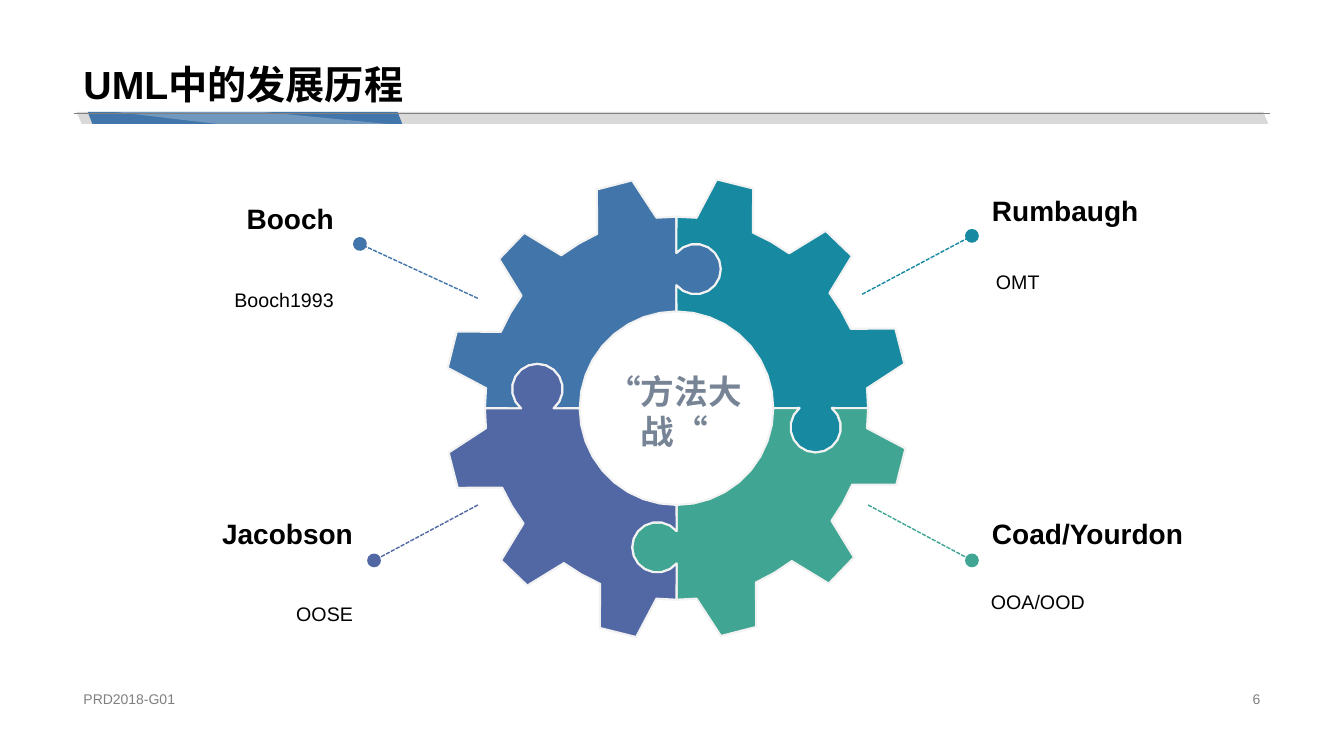
from math import cos, radians, sin

from lxml import etree
from pptx import Presentation
from pptx.dml.color import RGBColor
from pptx.enum.dml import MSO_LINE
from pptx.enum.shapes import MSO_CONNECTOR, MSO_SHAPE
from pptx.enum.text import MSO_ANCHOR as Anchor, MSO_AUTO_SIZE as AutoSize, PP_ALIGN as Align
from pptx.oxml.ns import qn
from pptx.util import Inches, Pt

BLACK = RGBColor(0x00, 0x00, 0x00)
WHITE = RGBColor(0xFF, 0xFF, 0xFF)
GREY = RGBColor(0x80, 0x80, 0x80)
BAND = RGBColor(0xD9, 0xD9, 0xD9)
OUTLINE = RGBColor(0xF2, 0xF2, 0xF2)
SLATE = RGBColor(0x77, 0x84, 0x95)
BLUE = RGBColor(0x42, 0x76, 0xAA)
TEAL = RGBColor(0x17, 0x8A, 0xA1)
GREEN = RGBColor(0x40, 0xA6, 0x93)
INDIGO = RGBColor(0x52, 0x68, 0xA5)

GEAR_CENTER = (6.71, 4.05)
RIM_RADIUS = 1.9
HOLE_RADIUS = 0.96
LABEL_WIDTH = 2.87

METHODS = [
    ("Booch", "Booch1993", BLUE, Align.RIGHT, (4.74, 2.96), (3.57, 2.42), (0.54, 1.99), (0.54, 2.52)),
    ("Rumbaugh", "OMT", TEAL, Align.LEFT, (8.55, 2.92), (9.64, 2.34), (9.74, 1.91), (9.78, 2.34)),
    ("Coad/Yourdon", "OOA/OOD", GREEN, Align.LEFT, (8.61, 5.01), (9.64, 5.56), (9.74, 5.12), (9.73, 5.52)),
    ("Jacobson", "OOSE", INDIGO, Align.RIGHT, (4.74, 5.01), (3.71, 5.56), (0.73, 5.12), (0.73, 5.63)),
]


def add_text(slide, text, left, top, width, height, size, color=BLACK, bold=False,
             align=Align.LEFT, anchor=Anchor.MIDDLE, wrap=True, spacing=1.0):
    """Add a one-paragraph text box that grows with its text when it does not wrap."""
    box = slide.shapes.add_textbox(Inches(left), Inches(top), Inches(width), Inches(height))
    frame = box.text_frame
    frame.word_wrap = wrap
    frame.auto_size = AutoSize.NONE if wrap else AutoSize.SHAPE_TO_FIT_TEXT
    frame.vertical_anchor = anchor
    paragraph = frame.paragraphs[0]
    paragraph.text = text
    paragraph.alignment = align
    paragraph.line_spacing = spacing
    font = paragraph.font
    font.name, font.size, font.bold = "Arial", Pt(size), bold
    font.color.rgb = color


def add_band(slide, left, width, slant, color):
    """Add a thin parallelogram that leans to the left."""
    band = slide.shapes.add_shape(MSO_SHAPE.PARALLELOGRAM, Inches(left), Inches(1.11),
                                  Inches(width), Inches(0.12))
    band.adjustments[0] = slant
    band.shadow.inherit = False
    band.fill.solid()
    band.fill.fore_color.rgb = color
    band.line.fill.background()
    band._element.spPr.find(qn("a:xfrm")).set("flipH", "1")


def add_polygon(slide, points, color):
    """Add a filled closed outline through points given in inches."""
    corners = [(Inches(x), Inches(y)) for x, y in points]
    builder = slide.shapes.build_freeform(*corners[0])
    builder.add_line_segments(corners[1:], close=True)
    polygon = builder.convert_to_shape()
    polygon.shadow.inherit = False
    polygon.fill.solid()
    polygon.fill.fore_color.rgb = color
    polygon.line.fill.background()
    return polygon


def add_line(slide, start, end, color, width):
    """Add a straight line without a shadow."""
    line = slide.shapes.add_connector(MSO_CONNECTOR.STRAIGHT, *map(Inches, start + end))
    line.line.color.rgb = color
    line.line.width = Pt(width)
    etree.SubElement(line._element.spPr, qn("a:effectLst"))
    return line


def add_leader(slide, start, end, color):
    """Add a dashed line that ends in a large dot."""
    leader = add_line(slide, start, end, color, 1)
    leader.line.dash_style = MSO_LINE.SQUARE_DOT
    etree.SubElement(leader.line._get_or_add_ln(), qn("a:tailEnd"), type="oval", w="lg", len="lg")


def arc(center, radius, start, end, steps):
    """Return points along an arc, with angles in degrees clockwise from the right."""
    angles = [radians(start + (end - start) * step / steps) for step in range(steps + 1)]
    return [(center[0] + radius * cos(angle), center[1] + radius * sin(angle)) for angle in angles]


def rim(start, end, steps=1):
    """Return points along the foot circle of the teeth."""
    return arc((0, 0), RIM_RADIUS, start, end, steps)


def quarter_outline():
    """Return the upper right gear quarter around the gear center."""
    knob = arc((1.38, 0.19), 0.25, -50, 230, 14)
    socket = [(y, -x) for x, y in reversed(knob)]
    return (rim(-90, -84) + [(0.4, -2.27), (0.76, -2.18)]
            + rim(-66.5, -54, 2) + [(1.48, -1.76), (1.74, -1.51)]
            + rim(-37, -24.5, 2) + [(2.17, -0.79), (2.26, -0.44)]
            + rim(-6, 0) + knob + arc((0, 0), HOLE_RADIUS, 0, -90, 9) + socket)


def add_gear(slide):
    """Add four interlocking quarters, each turned by a right angle."""
    center_x, center_y = GEAR_CENTER
    outline = [(y, -x) for x, y in quarter_outline()]
    for method in METHODS:
        points = [(center_x + x, center_y + y) for x, y in outline]
        quarter = add_polygon(slide, points, method[2])
        quarter.line.color.rgb = OUTLINE
        quarter.line.width = Pt(1.5)
        outline = [(-y, x) for x, y in outline]


def add_header(slide):
    """Add the title and the decorated band under it."""
    add_band(slide, 0.76, 11.82, 0.42, BAND)
    add_band(slide, 0.87, 3.12, 0.39, BLUE)
    sheen = add_polygon(slide, [(3.85, 1.23), (2.6, 1.11), (1.14, 1.11), (2.16, 1.23)], WHITE)
    color = sheen._element.spPr.find(qn("a:solidFill")).find(qn("a:srgbClr"))
    etree.SubElement(color, qn("a:alpha"), val="25000")
    add_line(slide, (0.73, 1.12), (12.6, 1.12), GREY, 0.25)
    add_text(slide, "UML中的发展历程", 0.73, 0, 11.87, 1.12, 28, bold=True,
             anchor=Anchor.BOTTOM, spacing=0.9)


def add_method(slide, name, detail, color, align, start, end, name_at, detail_at):
    """Add the leader, name and detail of one method."""
    add_leader(slide, start, end, color)
    add_text(slide, name, *name_at, LABEL_WIDTH, 0.35, 20, bold=True, align=align)
    add_text(slide, detail, *detail_at, LABEL_WIDTH, 0.79, 14, align=align, spacing=1.5)


def main():
    """Build the slide and save it."""
    presentation = Presentation()
    presentation.slide_width, presentation.slide_height = Inches(13.33), Inches(7.5)
    slide = presentation.slides.add_slide(presentation.slide_layouts[6])
    add_header(slide)
    add_text(slide, "PRD2018-G01", 0.73, 6.82, 4.53, 0.23, 10, GREY)
    add_text(slide, "6", 9.42, 6.82, 3.18, 0.23, 10, GREY, align=Align.RIGHT)
    add_gear(slide)
    add_text(slide, "“方法大战“", 5.78, 3.83, 1.82, 0.5, 24, SLATE, bold=True,
             align=Align.CENTER, wrap=False)
    for method in METHODS:
        add_method(slide, *method)
    presentation.save("out.pptx")


if __name__ == "__main__":
    main()
